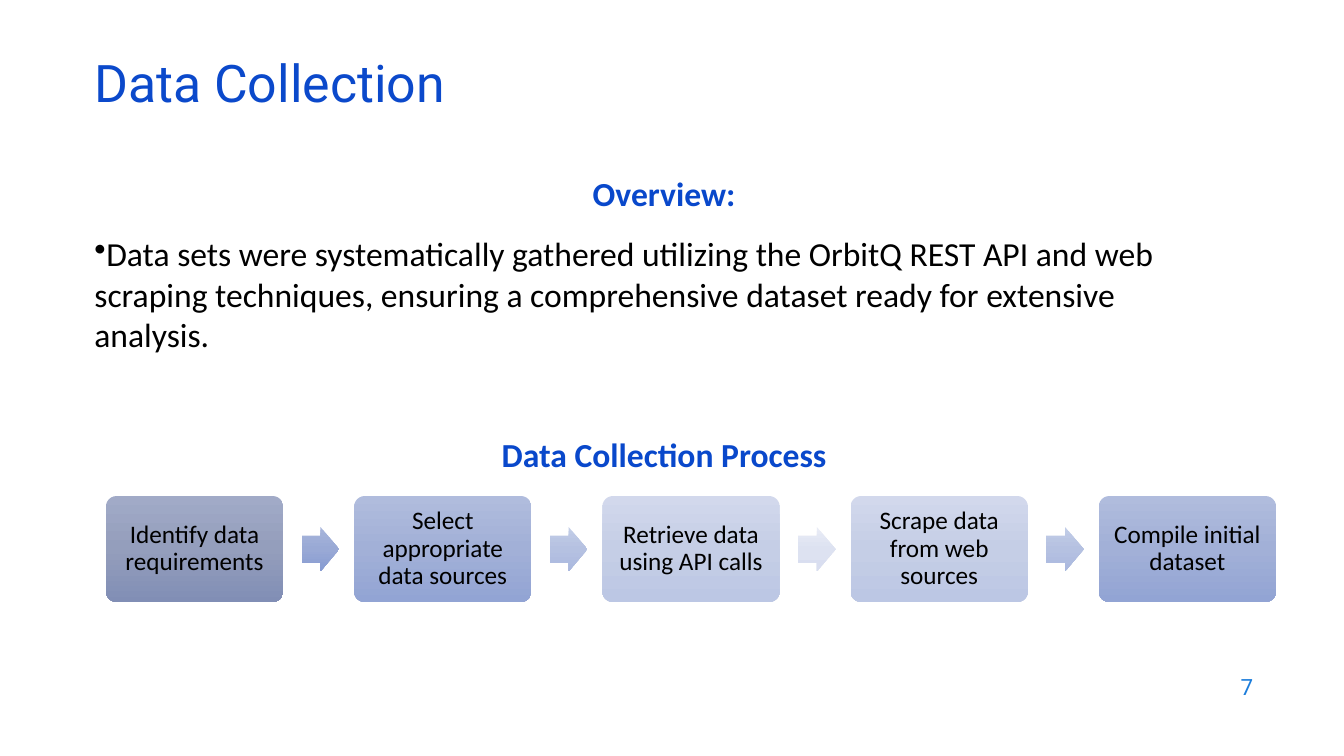
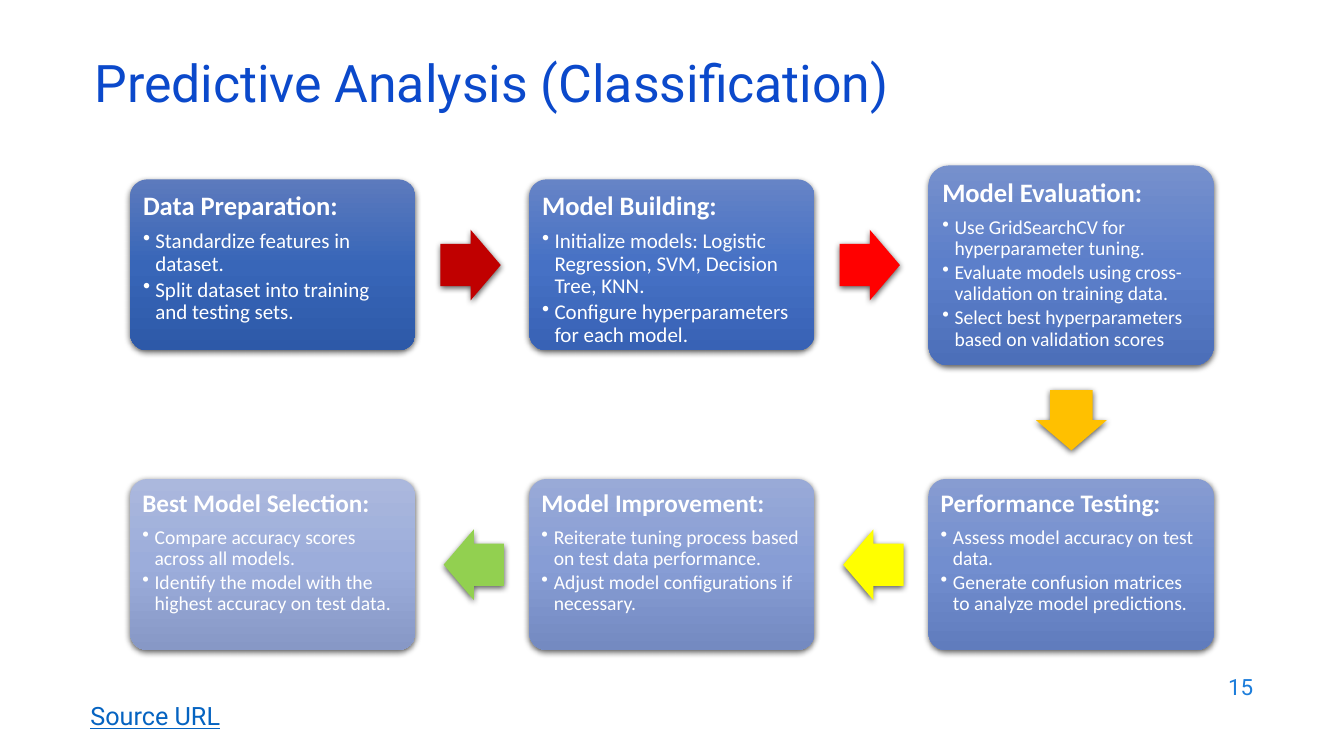
from pptx import Presentation, util as u
from pptx.dml.color import RGBColor
from pptx.enum import shapes, text
from pptx.oxml import parse_xml
from pptx.oxml.ns import nsdecls, qn
from lxml import etree

Cm, Pt = u.Cm, u.Pt
COLORS = {
    "title": "0B49CB", "heading": "0948CB", "number": "1C7DDB", "link": "0563C1",
    "black": "000000", "white": "FFFFFF",
    "dark_red": "C00000", "red": "FF0000", "amber": "FFC000",
    "yellow": "FFFF00", "green": "92D050",
}
# Top, middle and bottom colour of each gradient
GRADIENTS = {
    "step_grey": ["A1AAC7", "949EBC", "818EB5"],
    "step_blue": ["B0BCDD", "A2B0D7", "92A4D4"],
    "step_pale": ["D2D8EC", "C5CEE6", "BCC7E4"],
    "arrow_blue": ["A7B5DB", "99A9D5", "869BD2"],
    "arrow_mid": ["C2CDE7", "B5C1E1", "AAB8DF"],
    "arrow_pale": ["E9ECF6", "DDE2F1", "D9DEF0"],
    "preparation": ["5C7ABD", "3866B8", "2D59A8"],
    "building": ["6684C6", "4671C5", "3862B5"],
    "evaluation": ["7690CC", "5C7FCA", "4C6FB9"],
    "testing": ["879CD1", "728ECF", "607CBD"],
    "improvement": ["99AAD7", "879DD5", "748AC1"],
    "selection": ["ABB8DD", "9CADDB", "8798C6"],
}
ROUND = shapes.MSO_SHAPE.ROUNDED_RECTANGLE
ARROW = shapes.MSO_SHAPE.RIGHT_ARROW
CENTER, LEFT, RIGHT = text.PP_ALIGN.CENTER, text.PP_ALIGN.LEFT, text.PP_ALIGN.RIGHT
MIDDLE, TOP = text.MSO_ANCHOR.MIDDLE, text.MSO_ANCHOR.TOP


def style(p, size, color, font="Calibri", bold=False, align=LEFT,
          line=None, before=0, after=0, bullet=None):
    """Format a paragraph; bullet is the hanging indent, if there is one."""
    p.alignment, p.line_spacing = align, line
    p.space_before, p.space_after = Pt(before), Pt(after)
    if bullet is not None:
        pPr = p._p.get_or_add_pPr()
        pPr.set("marL", str(bullet))
        pPr.set("indent", str(-bullet))
        etree.SubElement(pPr, qn("a:buChar")).set("char", "•")
    for r in p.runs:
        r.font.name, r.font.size, r.font.bold = font, Pt(size), bold
        r.font.color.rgb = RGBColor.from_string(COLORS[color])


def block(s, kind, box, fill, shadow=False, rotation=0):
    """Add a borderless shape with a plain or gradient fill."""
    sp = s.shapes.add_shape(kind, *[Cm(n) for n in box])
    sp.adjustments[0] = 0.1 if kind == ROUND else 0.6
    sp.rotation = rotation
    sp.line.fill.background()
    sp.shadow.inherit = False
    spPr = sp._element.spPr
    if fill in GRADIENTS:
        stops = "".join(f'<a:gs pos="{i * 50000}"><a:srgbClr val="{c}"/></a:gs>'
                        for i, c in enumerate(GRADIENTS[fill]))
        spPr.insert(2, parse_xml(f'<a:gradFill {nsdecls("a")}><a:gsLst>{stops}</a:gsLst>'
                                 '<a:lin ang="5400000" scaled="0"/></a:gradFill>'))
    else:
        sp.fill.solid()
        sp.fill.fore_color.rgb = RGBColor.from_string(COLORS[fill])
    if shadow:
        spPr.find(qn("a:effectLst")).append(parse_xml(
            f'<a:outerShdw {nsdecls("a")} blurRad="{Pt(4.5)}" dist="{Pt(1.5)}" '
            'dir="5400000" algn="ctr" rotWithShape="0"><a:srgbClr val="000000">'
            '<a:alpha val="63000"/></a:srgbClr></a:outerShdw>'))
    return sp


prs = Presentation()
prs.slide_width, prs.slide_height = Cm(33.87), Cm(19.05)

# Title and page number of every slide
slides = []
for title, number in [("Data Collection", "7"),
                      ("Predictive Analysis (Classification)", "15")]:
    s = prs.slides.add_slide(prs.slide_layouts[6])
    for words, box, size, color, align, line in [
            (number, (24.21, 16.74, 7.62, 1.12), 16, "number", RIGHT, None),
            (title, (2.13, 1.5, 29.21, 1.52), 37, "title", LEFT, 0.7)]:
        tf = s.shapes.add_textbox(*[Cm(n) for n in box]).text_frame
        tf.word_wrap, tf.vertical_anchor = True, MIDDLE
        tf.text = words
        style(tf.paragraphs[0], size, color, "Roboto", align=align, line=line)
    slides.append(s)
collection, analysis = slides

# Data collection: overview text
tf = collection.shapes.add_textbox(Cm(2.13), Cm(4.24), Cm(29.21), Cm(12.09)).text_frame
tf.word_wrap = True
tf.text = "\n".join([
    "Overview:",
    "Data sets were systematically gathered utilizing the OrbitQ REST API and web scraping "
    "techniques, ensuring a comprehensive dataset ready for extensive analysis.",
    "Data Collection Process"])
overview, summary, process = tf.paragraphs
style(overview, 24, "heading", bold=True, align=CENTER)
style(summary, 24, "black", before=14, bullet=0)
style(process, 24, "heading", bold=True, align=CENTER, before=57)

# Data collection: row of steps, each with the arrow that follows it
steps = [
    ("Identify data requirements", "step_grey", "arrow_blue"),
    ("Select appropriate data sources", "step_blue", "arrow_mid"),
    ("Retrieve data using API calls", "step_pale", "arrow_pale"),
    ("Scrape data from web sources", "step_pale", "arrow_mid"),
    ("Compile initial dataset", "step_blue", None),
]
for i, (words, fill, arrow) in enumerate(steps):
    x = 2.67 + i * 6.255
    sp = block(collection, ROUND, (x, 12.5, 4.47, 2.67), fill)
    tf = sp.text_frame
    tf.word_wrap, tf.vertical_anchor = True, MIDDLE
    tf.margin_left = tf.margin_right = tf.margin_top = tf.margin_bottom = Cm(0.18)
    tf.text = words
    style(tf.paragraphs[0], 18, "black", align=CENTER, line=0.9)
    if arrow:
        block(collection, ARROW, (x + 4.93, 13.28, 0.95, 1.12), arrow)

# Predictive analysis: column, top, height, fill, sizes, heading and points
stages = [
    (0, 4.52, 4.31, "preparation", 19, 15, "Data Preparation:",
     ["Standardize features in dataset.",
      "Split dataset into training and testing sets."]),
    (1, 4.52, 4.31, "building", 19, 15, "Model Building:",
     ["Initialize models: Logistic Regression, SVM, Decision Tree, KNN.",
      "Configure hyperparameters for each model."]),
    (2, 4.17, 5.04, "evaluation", 19, 14, "Model Evaluation:",
     ["Use GridSearchCV for hyperparameter tuning.",
      "Evaluate models using cross-validation on training data.",
      "Select best hyperparameters based on validation scores"]),
    (2, 12.07, 4.31, "testing", 18, 14, "Performance Testing:",
     ["Assess model accuracy on test data.",
      "Generate confusion matrices to analyze model predictions."]),
    (1, 12.07, 4.31, "improvement", 18, 14, "Model Improvement:",
     ["Reiterate tuning process based on test data performance.",
      "Adjust model configurations if necessary."]),
    (0, 12.07, 4.31, "selection", 18, 14, "Best Model Selection:",
     ["Compare accuracy scores across all models.",
      "Identify the model with the highest accuracy on test data."]),
]
for col, top, height, fill, head_size, size, heading, points in stages:
    sp = block(analysis, ROUND, (3.28 + col * 10.06, top, 7.19, height), fill, shadow=True)
    tf = sp.text_frame
    tf.word_wrap, tf.vertical_anchor = True, TOP
    margin = Cm(0.2 if head_size == 19 else 0.18)
    tf.margin_left = tf.margin_right = tf.margin_top = tf.margin_bottom = margin
    tf.text = "\n".join([heading] + points)
    style(tf.paragraphs[0], head_size, "white", bold=True, line=0.9, after=head_size * 0.35)
    for p in tf.paragraphs[1:]:
        style(p, size, "white", line=0.9, after=size * 0.15, bullet=Cm(0.31))

# Predictive analysis: arrows between the stages
for x, y, rotation, fill in [
        (11.1, 5.79, 0, "dark_red"), (21.16, 5.79, 0, "red"), (26.24, 9.7, 90, "amber"),
        (21.25, 13.34, 180, "yellow"), (11.18, 13.34, 180, "green")]:
    block(analysis, ARROW, (x, y, 1.52, 1.78), fill, shadow=True, rotation=rotation)

# Predictive analysis: source label
tf = analysis.shapes.add_textbox(Cm(2.03), Cm(17.53), Cm(3.89), Cm(1.02)).text_frame
tf.word_wrap = True
tf.text = "Source URL"
style(tf.paragraphs[0], 18, "link", "Roboto")
tf.paragraphs[0].runs[0].font.underline = True

prs.save("out.pptx")
